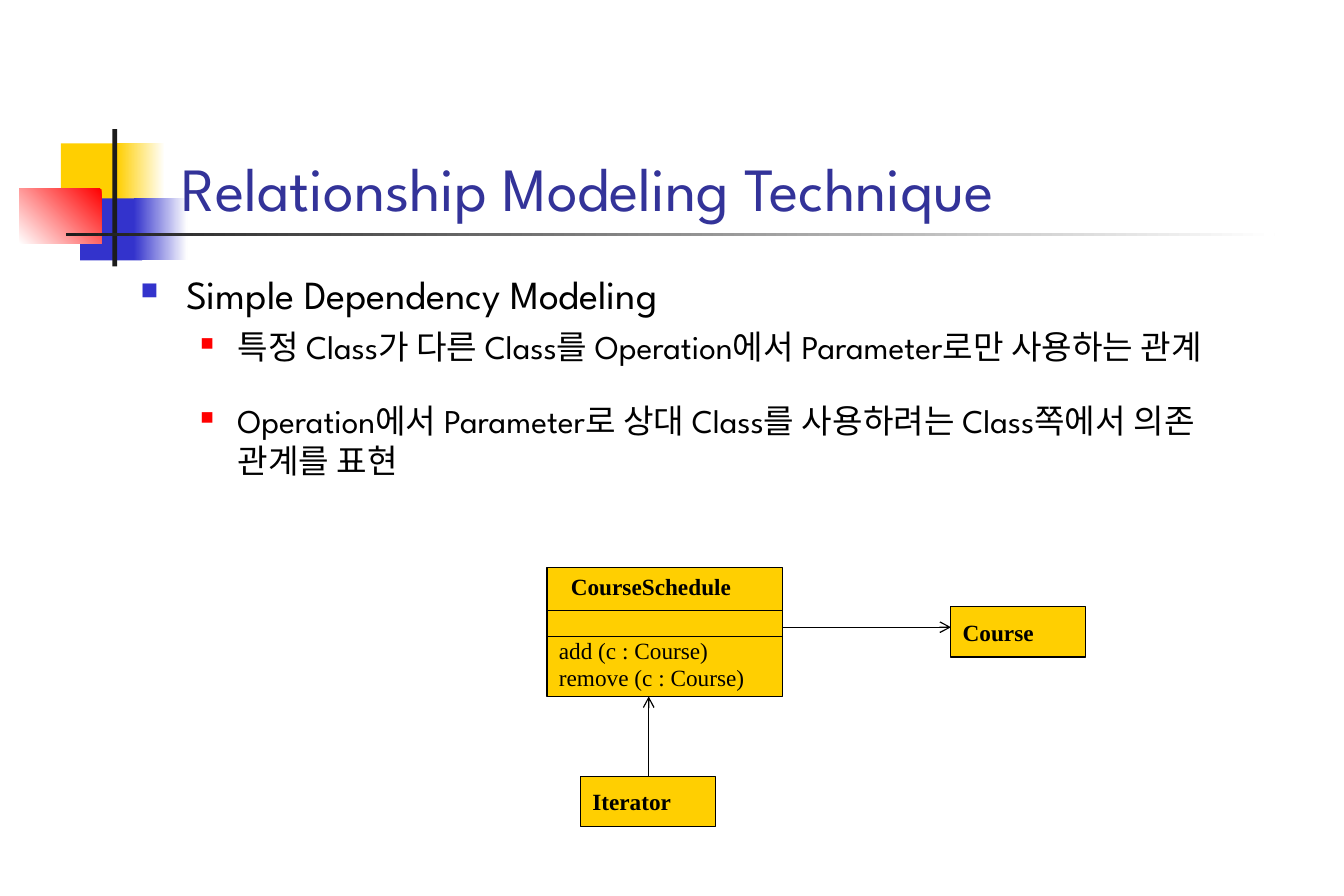
from lxml import etree
from pptx import Presentation
from pptx import util as u
from pptx.dml.color import RGBColor
from pptx.enum import shapes, text
from pptx.oxml import ns

PX = 9144
GOLD = RGBColor(0xFF, 0xCF, 0x01)
BLUE = RGBColor(0x33, 0x33, 0xCC)
RED = RGBColor(0xFF, 0, 0)
WHITE = RGBColor(0xFF, 0xFF, 0xFF)
BLACK = RGBColor(0, 0, 0)
DARK = RGBColor(0x1C, 0x1C, 0x1C)
NAVY = RGBColor(0x33, 0x33, 0x99)
SANS, SERIF = "League Spartan", "Times New Roman"

TITLE = "Relationship Modeling Technique"
DECOR = [
    ((51, 120, 54, 52), GOLD, None),
    ((98, 120, 40, 52), GOLD, 0),
    ((67, 166, 52, 52), BLUE, None),
    ((112, 166, 45, 52), BLUE, 0),
    ((16, 158, 69, 46), RED, 225),
    ((94, 108, 4, 115), DARK, None),
    ((55, 195, 1012, 3), DARK, 0),
]
POINTS = [
    ("Simple Dependency Modeling", 24, 38, 38, 0, BLUE, 60),
    ("특정 Class가 다른 Class를 Operation에서 Parameter로만 사용하는 관계",
     20, 81, 31, 5, RED, 55),
    ("Operation에서 Parameter로 상대 Class를 사용하려는 Class쪽에서 의존 관계를 표현",
     20, 81, 31, 21, RED, 55),
]
CLASSES = [
    ("CourseSchedule", ["add (c : Course)", "remove (c : Course)"], (458, 475, 197, 108)),
    ("Course", [], (796, 508, 113, 42)),
    ("Iterator", [], (486, 650, 113, 42)),
]
LINES = [
    ((458, 511, 655, 511), False),
    ((458, 533, 655, 533), False),
    ((655, 525, 796, 525), True),
    ((543, 650, 543, 583), True),
]


def emu(box):
    return [n * PX for n in box]


def add(parent, tag, **attrs):
    return etree.SubElement(parent, ns.qn(tag), attrs)


def style(para, face, size, color, bold=False):
    for run in para.runs:
        font = run.font
        font.name, font.size, font.bold = face, u.Pt(size), bold
        font.color.rgb = color


def block(slide, box):
    rect = slide.shapes.add_shape(shapes.MSO_SHAPE.RECTANGLE, *emu(box))
    rect.shadow.inherit = False
    return rect


def decor(slide, box, color, angle):
    rect = block(slide, box)
    rect.line.fill.background()
    if angle is None:
        rect.fill.solid()
        rect.fill.fore_color.rgb = color
        return
    rect.fill.gradient()
    rect.fill.gradient_angle = angle
    for stop, tone in zip(rect.fill.gradient_stops, (color, WHITE)):
        stop.color.rgb = tone


def head(slide):
    title = slide.shapes.title
    title.left, title.top, title.width, title.height = emu((142, 67, 959, 125))
    frame = title.text_frame
    frame.text = TITLE
    frame.auto_size = text.MSO_AUTO_SIZE.NONE
    frame.vertical_anchor = text.MSO_ANCHOR.BOTTOM
    para = frame.paragraphs[0]
    para.alignment = text.PP_ALIGN.LEFT
    style(para, SANS, 37, NAVY)
    title.element.getparent().append(title.element)


def body(slide):
    frame = slide.shapes.add_textbox(*emu((108, 221, 923, 450))).text_frame
    frame.word_wrap = True
    frame.text = "\n".join(point[0] for point in POINTS)
    for para, (_, size, left, hang, gap, color, pct) in zip(frame.paragraphs, POINTS):
        props = para._p.get_or_add_pPr()
        props.set("marL", str(left * PX))
        props.set("indent", str(-hang * PX))
        add(add(props, "a:buClr"), "a:srgbClr", val=str(color))
        add(props, "a:buSzPct", val=str(pct * 1000))
        add(props, "a:buChar", char="■")
        para.space_before = u.Pt(gap)
        style(para, SANS, size, BLACK)


def klass(slide, name, ops, box):
    rect = block(slide, box)
    rect.fill.solid()
    rect.fill.fore_color.rgb = GOLD
    rect.line.color.rgb = BLACK
    rect.line.width = u.Pt(0.75)
    frame = rect.text_frame
    frame.word_wrap = True
    frame.vertical_anchor = text.MSO_ANCHOR.MIDDLE
    frame.text = "\n".join([name] + ops)
    for i, para in enumerate(frame.paragraphs):
        para.alignment = text.PP_ALIGN.LEFT
        style(para, SERIF, 14, BLACK, bold=i == 0)
    if ops:
        frame.paragraphs[0]._p.get_or_add_pPr().set("marL", str(10 * PX))
        frame.paragraphs[1].space_before = u.Pt(21.5)


def link(slide, ends, arrow):
    line = slide.shapes.add_connector(shapes.MSO_CONNECTOR.STRAIGHT, *emu(ends))
    line.line.color.rgb = BLACK
    line.line.width = u.Pt(0.75)
    if arrow:
        add(line.line._get_or_add_ln(), "a:tailEnd", type="arrow")
    add(line._element.spPr, "a:effectLst")


def main():
    prs = Presentation()
    prs.slide_width, prs.slide_height = emu((1125, 750))
    slide = prs.slides.add_slide(prs.slide_layouts.get_by_name("Title Only"))
    for item in DECOR:
        decor(slide, *item)
    head(slide)
    body(slide)
    for item in CLASSES:
        klass(slide, *item)
    for item in LINES:
        link(slide, *item)
    prs.save("out.pptx")


if __name__ == "__main__":
    main()
